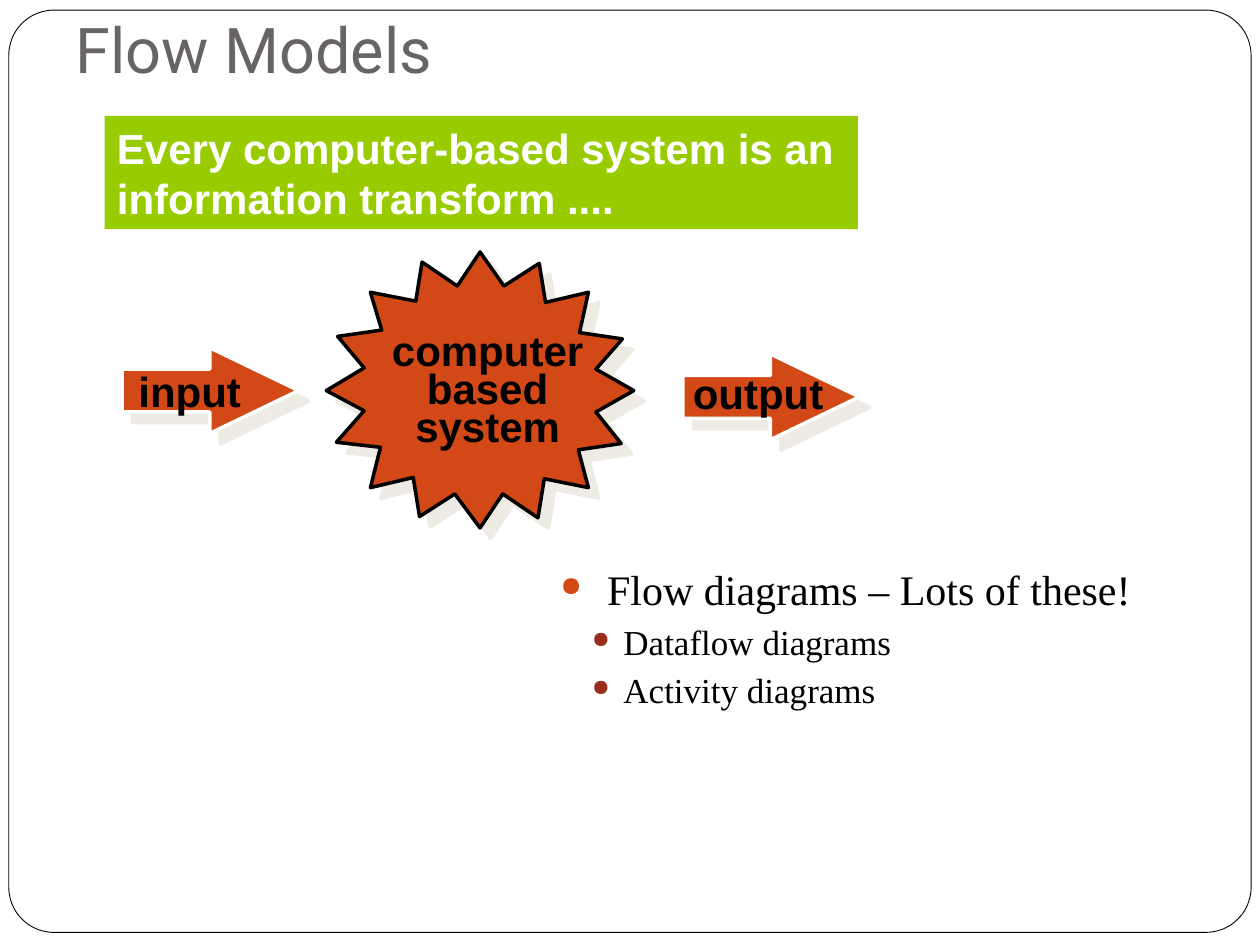
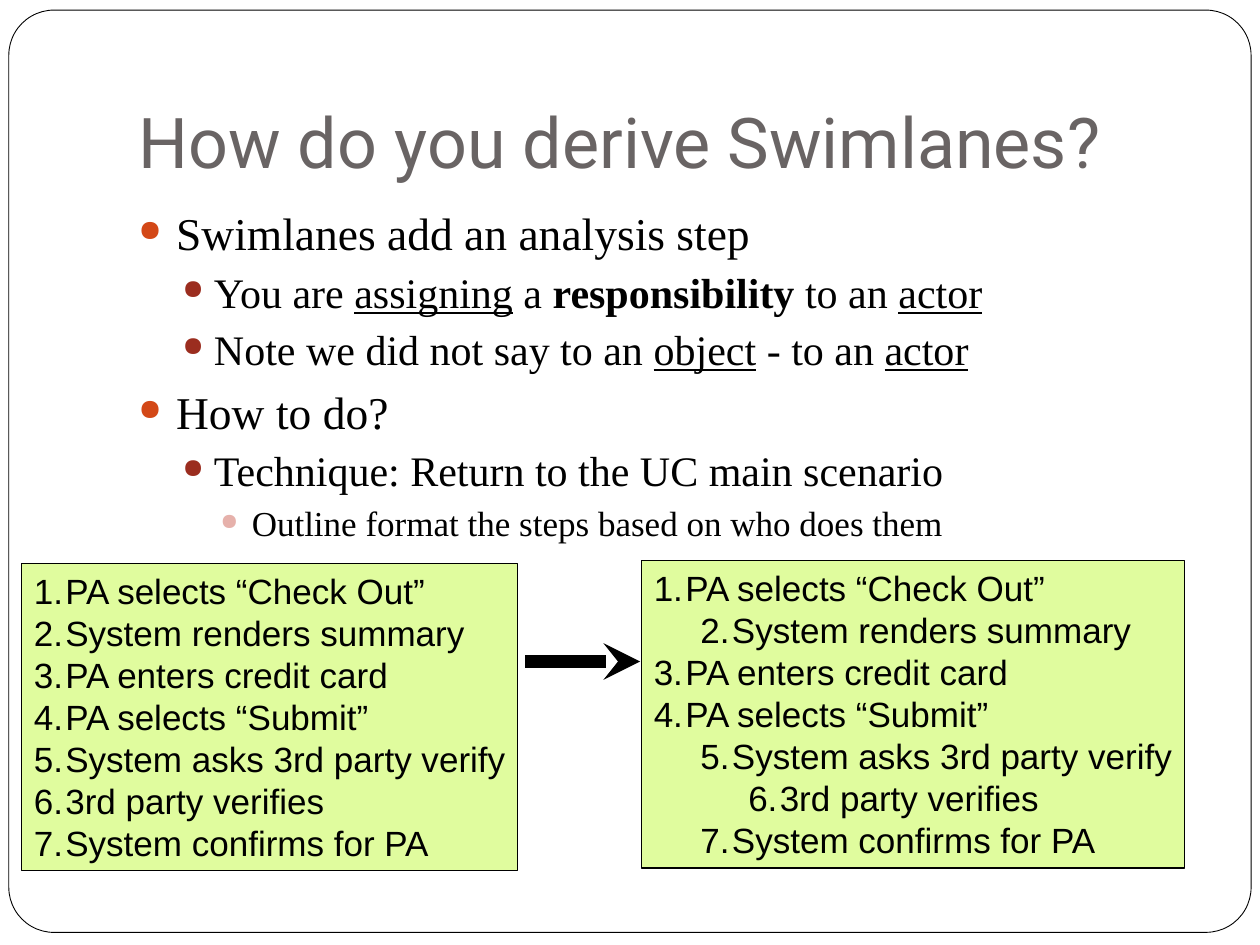
from lxml import etree
from pptx import Presentation
from pptx.dml import color
from pptx.enum import shapes, text
from pptx.oxml import ns
from pptx.util import Inches, Pt

INK, PAPER, GREY = "000000", "FFFFFF", "696464"
RUST, LIME, PALE, SHADE = "D34817", "99CC00", "E0FC9E", "E9E5DC"
SANS, SERIF, HEAD = "Arial", "Times New Roman", "Roboto"

# By level: left margin, hanging indent, space before, bullet colour
LEVELS = [(0.3, 0.3, 5.8, RUST), (0.6, 0.25, 3.7, "9B2D1F"),
          (0.9, 0.25, 3.7, "E6B1AB")]
STEP_LEFT = [0.25, 0.62, 1]

STAR = [
    (2.59, 3.1), (2.89, 3.26), (2.67, 3.51), (3.02, 3.55), (2.94, 3.87),
    (3.28, 3.79), (3.33, 4.1), (3.61, 3.92), (3.81, 4.19), (3.99, 3.92),
    (4.27, 4.11), (4.32, 3.8), (4.67, 3.87), (4.59, 3.57), (4.93, 3.52),
    (4.73, 3.27), (5.03, 3.1), (4.73, 2.93), (4.94, 2.69), (4.6, 2.64),
    (4.67, 2.32), (4.33, 2.4), (4.28, 2.09), (4, 2.27), (3.81, 2),
    (3.63, 2.27), (3.35, 2.08), (3.3, 2.39), (2.94, 2.32), (3.03, 2.62),
    (2.68, 2.67), (2.89, 2.92)]

STEPS = ["PA selects “Check Out”", "System renders summary",
         "PA enters credit card", "PA selects “Submit”",
         "System asks 3rd party verify", "3rd party verifies",
         "System confirms for PA"]


def rgb(code):
    return color.RGBColor.from_string(code)


def sub(node, tag, **attrs):
    """Append a drawing element to a node."""
    child = etree.SubElement(node, ns.qn("a:" + tag))
    for key, val in attrs.items():
        child.set(key, str(val))
    return child


def paint(shape, fill, line, width):
    shape.shadow.inherit = False
    shape.fill.solid()
    shape.fill.fore_color.rgb = rgb(fill)
    if line:
        shape.line.color.rgb = rgb(line)
        shape.line.width = Pt(width)
    else:
        shape.line.fill.background()


def cast(shape):
    """Give a shape a hard shadow, down and to the right."""
    effect = shape._element.spPr.find(ns.qn("a:effectLst"))
    outer = sub(effect, "outerShdw", dist=Pt(8.5), dir=45 * 60000,
                algn="ctr", rotWithShape=0)
    sub(sub(outer, "srgbClr", val=SHADE), "alpha", val=75000)


def add_box(slide, kind, at, fill, line=None, width=1, adjs=()):
    shape = slide.shapes.add_shape(kind, *map(Inches, at))
    paint(shape, fill, line, width)
    for i, val in enumerate(adjs):
        shape.adjustments[i] = val
    return shape


def add_text(slide, at):
    return slide.shapes.add_textbox(*map(Inches, at))


def set_frame(shape, wrap=True, right=0.1, foot=0.05,
              anchor=text.MSO_ANCHOR.TOP):
    frame = shape.text_frame
    form = {"word_wrap": wrap, "vertical_anchor": anchor,
            "auto_size": text.MSO_AUTO_SIZE.NONE,
            "margin_left": Inches(0.1), "margin_right": Inches(right),
            "margin_top": Inches(0.05), "margin_bottom": Inches(foot)}
    for key, val in form.items():
        setattr(frame, key, val)
    return frame


def next_para(frame, first):
    para = frame.paragraphs[0] if first else frame.add_paragraph()
    para.alignment = text.PP_ALIGN.LEFT
    return para


def add_run(para, words, ink=INK, **form):
    run = para.add_run()
    run.text = words
    for key, val in form.items():
        setattr(run.font, key, val)
    run.font.color.rgb = rgb(ink)


def indent(para, level, left, hang):
    para.level = level
    props = para._p.get_or_add_pPr()
    props.set("marL", str(Inches(left)))
    props.set("indent", str(-Inches(hang)))
    return props


def add_title(slide, words, at, size):
    frame = set_frame(add_text(slide, at), foot=0.1,
                      anchor=text.MSO_ANCHOR.BOTTOM)
    add_run(next_para(frame, True), words, GREY, name=HEAD, size=Pt(size))


def label(shape, lines, ink=INK, centre=False):
    """Write bold lines in a shape only just wide enough for them."""
    frame = set_frame(shape, right=0.1 if centre else 0)
    for i, words in enumerate(lines):
        para = next_para(frame, i == 0)
        if centre:
            para.alignment = text.PP_ALIGN.CENTER
            para.line_spacing = 0.75
        add_run(para, words, ink, name=SANS, size=Pt(24), bold=True)


def add_list(slide, at, items, sizes, lead=None):
    """Bullets from (level, runs); a run is words or (words, format)."""
    frame = set_frame(add_text(slide, at))
    for i, (level, runs) in enumerate(items):
        left, hang, gap, dot = LEVELS[level]
        if lead and level == 0:
            left, hang = lead
        para = next_para(frame, i == 0)
        props = indent(para, level, left, hang)
        sub(sub(props, "buClr"), "srgbClr", val=dot)
        sub(props, "buSzPct", val=65000)
        sub(props, "buChar", char="●")
        if i:
            para.space_before = Pt(gap)
        for run in runs:
            words, form = (run, {}) if isinstance(run, str) else run
            add_run(para, words, name=SERIF, size=Pt(sizes[level]), **form)


def add_steps(slide, at, marks):
    """Numbered steps; marks hold each step's level and start number."""
    box = add_box(slide, shapes.MSO_SHAPE.RECTANGLE, at, PALE, INK, 0.75)
    frame = set_frame(box, right=0)
    for i, (words, (level, start)) in enumerate(zip(STEPS, marks)):
        para = next_para(frame, i == 0)
        props = indent(para, level, STEP_LEFT[level], 0.25)
        sub(sub(props, "buClr"), "srgbClr", val=INK)
        num = sub(props, "buAutoNum", type="arabicPeriod")
        if start > 1:
            num.set("startAt", str(start))
        add_run(para, words, name=SANS, size=Pt(20))


def add_star(slide):
    points = [(Inches(x), Inches(y)) for x, y in STAR]
    pen = slide.shapes.build_freeform(*points[0], scale=1.0)
    pen.add_line_segments(points[1:], close=True)
    star = pen.convert_to_shape()
    paint(star, RUST, INK, 2)
    cast(star)


def add_arrow(slide, start, end):
    line = slide.shapes.add_connector(
        shapes.MSO_CONNECTOR.STRAIGHT, *map(Inches, start + end))
    line.line.color.rgb = rgb(INK)
    line.line.width = Pt(7)
    sub(line.line._get_or_add_ln(), "tailEnd", type="stealth")
    sub(line._element.spPr, "effectLst")


def new_slide(deck):
    slide = deck.slides.add_slide(deck.slide_layouts[6])
    add_box(slide, shapes.MSO_SHAPE.ROUNDED_RECTANGLE,
            (0.07, 0.08, 9.86, 7.32), PAPER, INK, 0.5, [0.049])
    return slide


def flow_slide(deck):
    slide = new_slide(deck)
    claim = add_box(slide, shapes.MSO_SHAPE.RECTANGLE,
                    (0.83, 0.92, 5.98, 0.9), LIME)
    label(claim, ["Every computer-based system is an",
                  "information transform ...."], PAPER)
    add_star(slide)
    for left, top in [(0.97, 2.76), (5.42, 2.81)]:
        cast(add_box(slide, shapes.MSO_SHAPE.RIGHT_ARROW,
                     (left, top, 1.4, 0.68), RUST, PAPER, 2, [0.5, 1.036]))
    label(add_text(slide, (3.01, 2.62, 1.72, 1)),
          ["computer", "based", "system"], centre=True)
    label(add_text(slide, (1, 2.85, 1.01, 0.5)), ["input"])
    label(add_text(slide, (5.4, 2.87, 1.24, 0.5)), ["output"])
    add_title(slide, "Flow Models", (0.5, 0, 9, 0.78), 36)
    add_list(slide, (4.25, 4.42, 5, 2.17),
             [(0, ["Flow diagrams – Lots of these!"]),
              (1, ["Dataflow diagrams"]), (1, ["Activity diagrams"])],
             [24, 20], lead=(0.47, 0.37))


def lane_slide(deck):
    slide = new_slide(deck)
    add_title(slide, "How do you derive Swimlanes?", (1, 0.3, 8.5, 1.25), 40)
    under, bold = {"underline": True}, {"bold": True}
    actor = ("actor", under)
    add_list(slide, (1, 1.58, 8.5, 5), [
        (0, ["Swimlanes add an analysis step"]),
        (1, ["You are ", ("assigning", under), " a ",
             ("responsibility", bold), " to an ", actor]),
        (1, ["Note we did not say to an ", ("object", under),
             " - to an ", actor]),
        (0, ["How to do?"]),
        (1, ["Technique: Return to the UC main scenario"]),
        (2, ["Outline format the steps based on who does them"]),
    ], [26, 24, 20])
    add_steps(slide, (0.17, 4.47, 3.94, 2.44), [(0, 1)] * len(STEPS))
    add_steps(slide, (5.09, 4.45, 4.31, 2.44),
              [(0, 1), (1, 2), (0, 3), (0, 3), (1, 5), (2, 6), (1, 7)])
    add_arrow(slide, (4.17, 5.25), (5.08, 5.25))


def main():
    deck = Presentation()
    deck.slide_width, deck.slide_height = Inches(10), Inches(7.5)
    flow_slide(deck)
    lane_slide(deck)
    deck.save("out.pptx")


if __name__ == "__main__":
    main()
